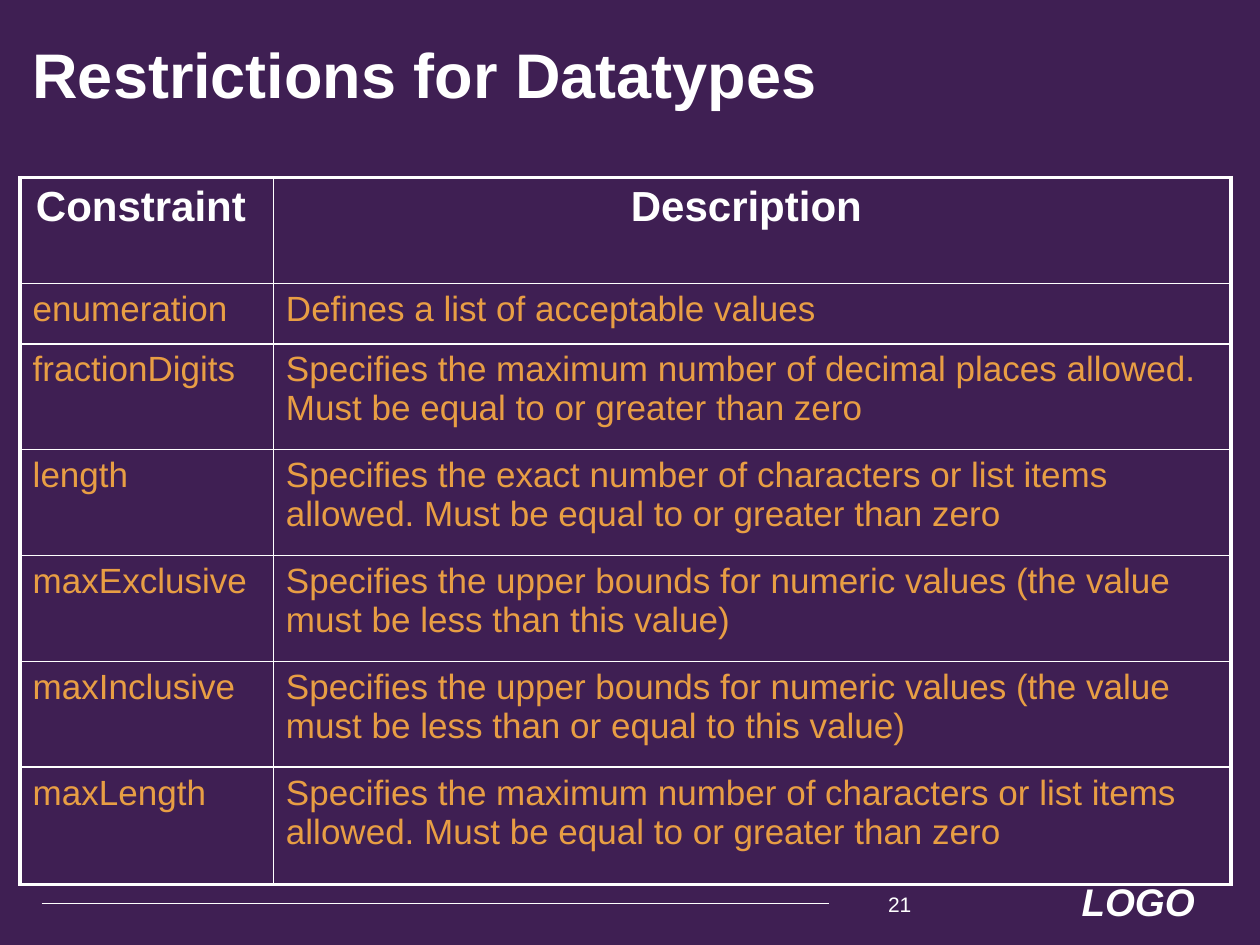
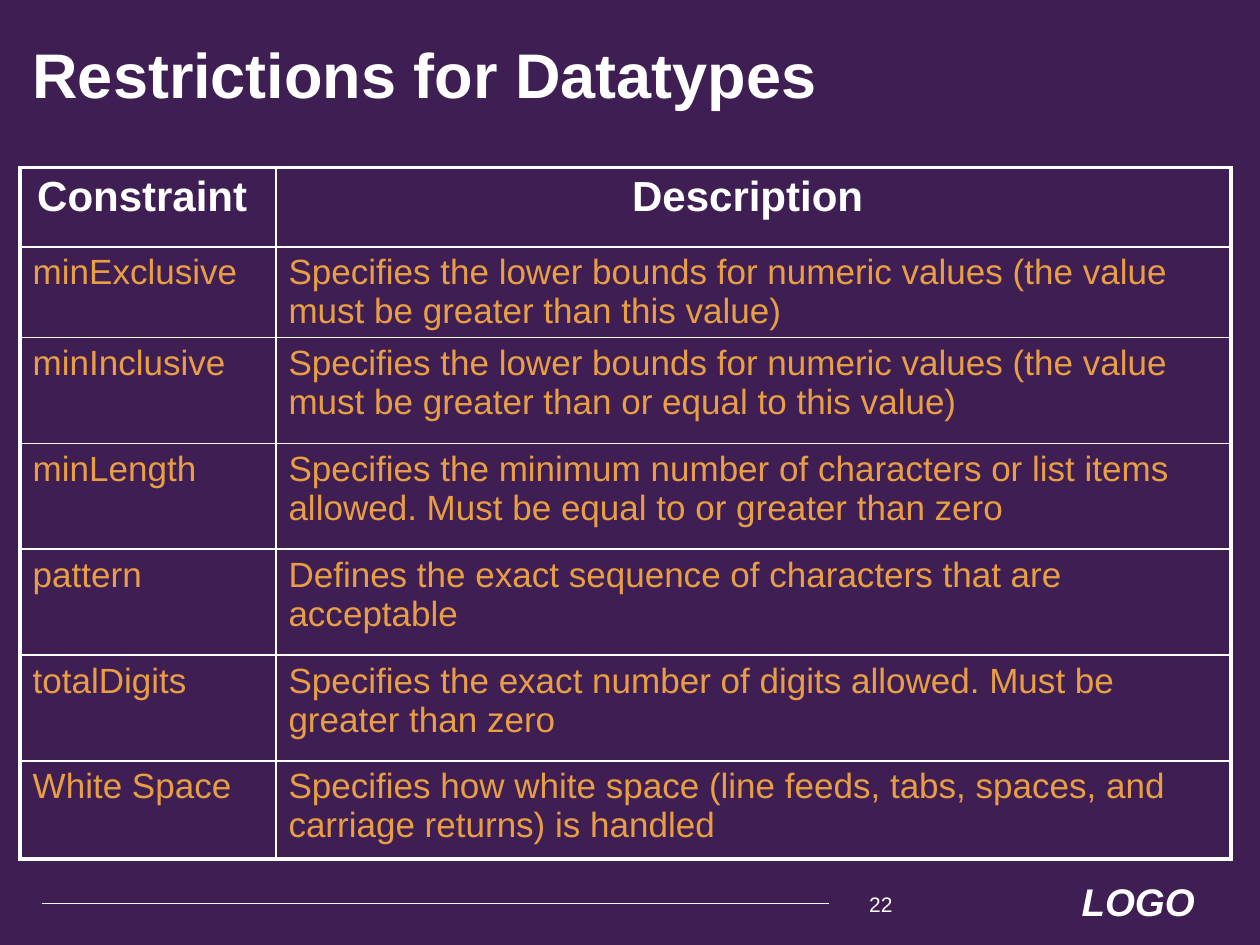
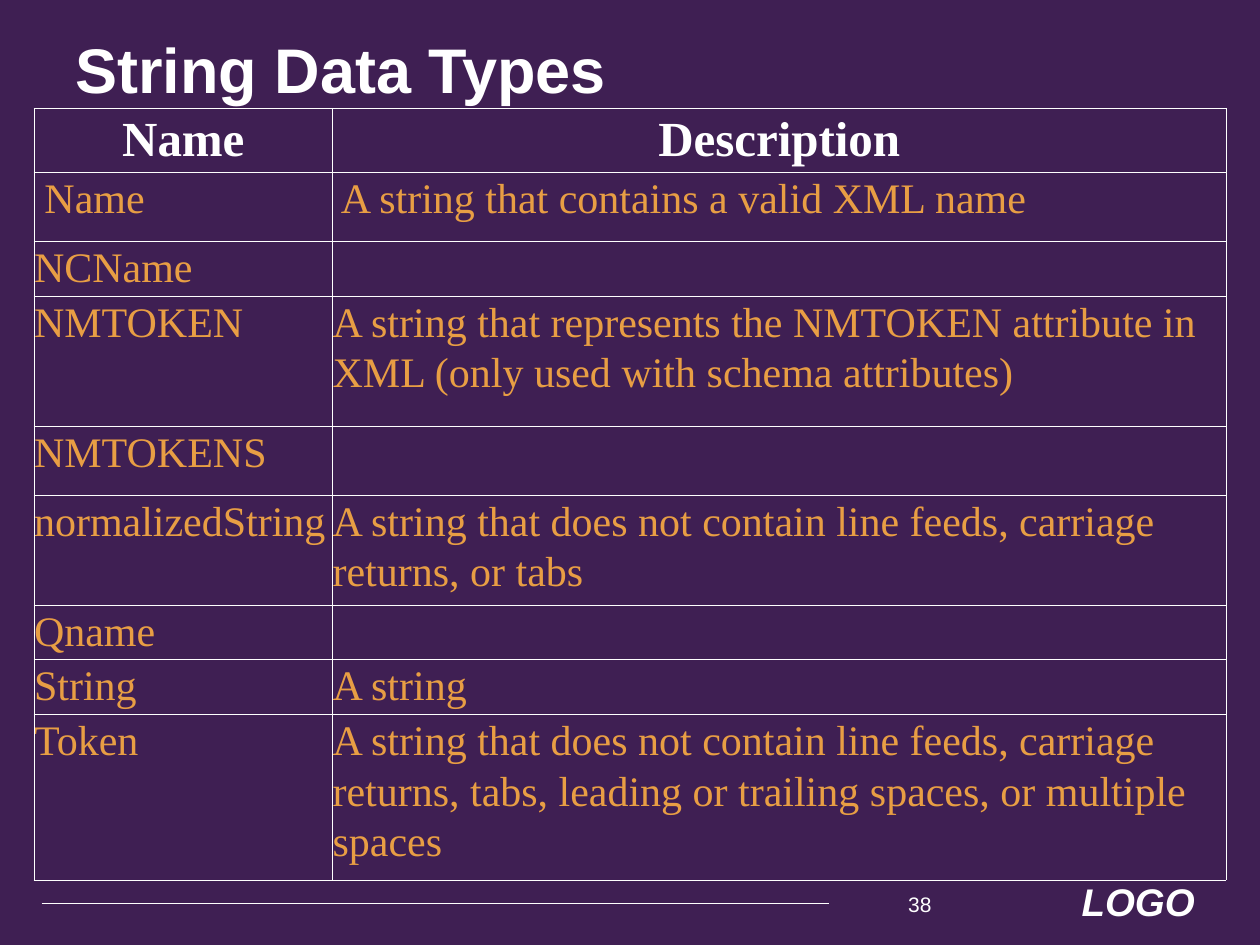
from lxml import etree
from pptx import Presentation
from pptx import util as u
from pptx.dml.color import RGBColor
from pptx.enum import shapes, text
from pptx.oxml import ns

COLOURS = {"back": "3F1F53", "white": "FFFFFF", "body": "E89E44"}

# Table styles: text sizes and borders in points, insets (side, top, bottom) in inches
RULED = {"font": "Arial", "head": 24, "body": 20, "outer": 2.25, "inner": 1,
         "insets": (0.1, 0.05, 0), "spacing": None}
COMPACT = {"font": "Times New Roman", "head": 28, "body": 24, "outer": 0.5, "inner": 0.5,
           "insets": (0, 0, 0), "spacing": 1.08}

PAGES = [
    {"title": "Restrictions for Datatypes", "title_at": (0.16, 0.33),
     "number": "21", "number_left": 6.95,
     "style": RULED, "table_at": (0.16, 1.41), "columns": (2.01, 7.6),
     "heights": (0.84, 0.48, 0.84, 0.84, 0.84, 0.84, 0.93),
     "rows": [
         ("Constraint ", "Description "),
         ("enumeration", "Defines a list of acceptable values"),
         ("fractionDigits", "Specifies the maximum number of decimal places allowed. "
                            "Must be equal to or greater than zero"),
         ("length", "Specifies the exact number of characters or list items allowed. "
                    "Must be equal to or greater than zero"),
         ("maxExclusive", "Specifies the upper bounds for numeric values "
                          "(the value must be less than this value)"),
         ("maxInclusive", "Specifies the upper bounds for numeric values "
                          "(the value must be less than or equal to this value)"),
         ("maxLength", "Specifies the maximum number of characters or list items allowed. "
                       "Must be equal to or greater than zero"),
     ]},
    {"title": "Restrictions for Datatypes", "title_at": (0.16, 0.33),
     "number": "22", "number_left": 6.8,
     "style": RULED, "table_at": (0.16, 1.33), "columns": (2.03, 7.58),
     "heights": (0.63, 0.72, 0.84, 0.84, 0.84, 0.84, 0.78),
     "rows": [
         ("Constraint ", "Description "),
         ("minExclusive", "Specifies the lower bounds for numeric values "
                          "(the value must be greater than this value)"),
         ("minInclusive", "Specifies the lower bounds for numeric values "
                          "(the value must be greater than or equal to this value)"),
         ("minLength", "Specifies the minimum number of characters or list items allowed. "
                       "Must be equal to or greater than zero"),
         ("pattern", "Defines the exact sequence of characters that are acceptable"),
         ("totalDigits", "Specifies the exact number of digits allowed. "
                         "Must be greater than zero"),
         ("White Space", "Specifies how white space (line feeds, tabs, spaces, "
                         "and carriage returns) is handled"),
     ]},
    {"title": "String Data Types", "title_at": (0.5, 0.29),
     "number": "38", "number_left": 7.11,
     "style": COMPACT, "table_at": (0.27, 0.86), "columns": (2.37, 7.09),
     "heights": (0.51, 0.55, 0.43, 1.03, 0.55, 0.87, 0.43, 0.44, 1.31),
     "rows": [
         ("Name", "Description"),
         (" Name", " A string that contains a valid XML name"),
         ("NCName", ""),
         ("NMTOKEN", "A string that represents the NMTOKEN attribute in XML "
                     "(only used with schema attributes)"),
         ("NMTOKENS", ""),
         ("normalizedString", "A string that does not contain line feeds, "
                              "carriage returns, or tabs"),
         ("Qname", ""),
         ("String", "A string"),
         ("Token", "A string that does not contain line feeds, carriage returns, tabs, "
                   "leading or trailing spaces, or multiple spaces"),
     ]},
]


def colour(name):
    return RGBColor.from_string(COLOURS[name])


def add_span(para, words, size, font="Arial", ink="white", bold=False, italic=False):
    span = para.add_run()
    span.text = words
    span.font.name, span.font.size = font, u.Pt(size)
    span.font.bold, span.font.italic = bold, italic
    span.font.color.rgb = colour(ink)


def add_text(page, words, at, size, align=text.PP_ALIGN.LEFT,
             anchor=text.MSO_ANCHOR.TOP, **look):
    frame = page.shapes.add_textbox(*map(u.Inches, at)).text_frame
    frame.word_wrap = True
    frame.vertical_anchor = anchor
    frame.paragraphs[0].alignment = align
    add_span(frame.paragraphs[0], words, size, **look)


def add_footer(page, number, number_left):
    add_text(page, "LOGO", (8.07, 6.92, 1.51, 0.47), 22,
             align=text.PP_ALIGN.RIGHT, bold=True, italic=True)
    rule = page.shapes.add_connector(shapes.MSO_CONNECTOR.STRAIGHT,
                                     *map(u.Inches, (0.33, 7.17, 6.58, 7.17)))
    rule.line.color.rgb = colour("white")
    rule.line.width = u.Pt(0.5)
    etree.SubElement(rule._element.spPr, ns.qn("a:effectLst"))
    add_text(page, number, (number_left, 7.03, 1.42, 0.27), 12)


def set_borders(cell, widths):
    """Draw the left, right, top and bottom borders, widths in points."""
    properties = cell._tc.get_or_add_tcPr()
    for side, width in zip("LRTB", widths):
        border = etree.SubElement(properties, ns.qn(f"a:ln{side}"), w=str(u.Pt(width)))
        fill = etree.SubElement(border, ns.qn("a:solidFill"))
        etree.SubElement(fill, ns.qn("a:srgbClr"), val=COLOURS["white"])


def add_grid(page, rows, columns, heights, at, style):
    size = (sum(columns), sum(heights))
    table = page.shapes.add_table(len(rows), len(columns), *map(u.Inches, at + size)).table
    table.first_row = table.horz_banding = False
    for column, width in zip(table.columns, columns):
        column.width = u.Inches(width)
    for row, height in zip(table.rows, heights):
        row.height = u.Inches(height)

    side, top, bottom = map(u.Inches, style["insets"])
    for r, row in enumerate(rows):
        header = r == 0
        for c, words in enumerate(row):
            cell = table.cell(r, c)
            cell.margin_left = cell.margin_right = side
            cell.margin_top, cell.margin_bottom = top, bottom
            edges = (c == 0, c == len(columns) - 1, header, r == len(rows) - 1)
            set_borders(cell, [style["outer" if edge else "inner"] for edge in edges])
            cell.fill.background()
            if words:
                para = cell.text_frame.paragraphs[0]
                para.alignment = text.PP_ALIGN.CENTER if header else text.PP_ALIGN.LEFT
                para.line_spacing = style["spacing"]
                add_span(para, words, style["head" if header else "body"], style["font"],
                         "white" if header else "body", bold=header)


def main():
    deck = Presentation()
    deck.slide_width, deck.slide_height = u.Inches(10), u.Inches(7.5)
    for content in PAGES:
        page = deck.slides.add_slide(deck.slide_layouts[6])
        page.background.fill.solid()
        page.background.fill.fore_color.rgb = colour("back")
        add_footer(page, content["number"], content["number_left"])
        add_text(page, content["title"], content["title_at"] + (7.96, 0.5), 36,
                 anchor=text.MSO_ANCHOR.MIDDLE, bold=True)
        add_grid(page, content["rows"], content["columns"], content["heights"],
                 content["table_at"], content["style"])
    deck.save("out.pptx")


if __name__ == "__main__":
    main()
